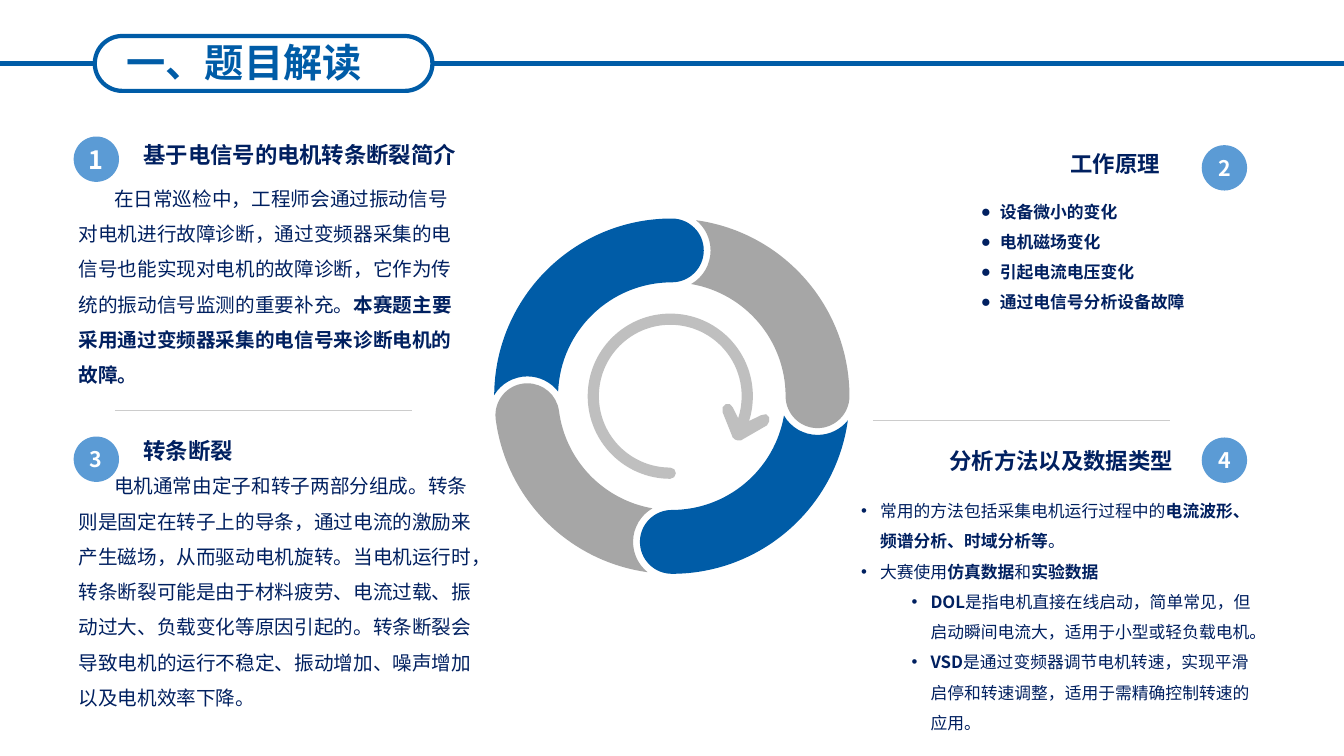
from dataclasses import dataclass
from math import acos, atan2, ceil, cos, degrees, floor, radians, sin, tan

from lxml.etree import SubElement
from pptx import Presentation
from pptx.dml.color import RGBColor
from pptx.enum.shapes import MSO_CONNECTOR, MSO_SHAPE
from pptx.enum.text import MSO_ANCHOR, PP_ALIGN
from pptx.oxml.ns import qn
from pptx.util import Pt


@dataclass(frozen=True)
class Theme:
    font: str = "Noto Sans CJK SC"
    bullet_font: str = "Arial"
    blue: str = "005CA7"
    badge: str = "5B9BD5"
    navy: str = "002060"
    white: str = "FFFFFF"
    gray: str = "A6A6A6"
    arrow: str = "BFBFBF"
    divider: str = "CCCCCC"
    title: float = 28
    heading: float = 16
    body: float = 14
    detail: float = 12
    first_number: float = 18
    number: float = 15.3


THEME = Theme()
LEFT, CENTER, RIGHT = PP_ALIGN.LEFT, PP_ALIGN.CENTER, PP_ALIGN.RIGHT

# number, number size, badge position, heading, heading box, alignment
SECTIONS = [
    ("1", THEME.first_number, (52.6, 97.5), "基于电信号的电机转条断裂简介",
     (95.4, 97.2, 244.8, 26.6), LEFT),
    ("2", THEME.number, (858.4, 103.7), "工作原理", (610.2, 103.7, 225.4, 26.6), RIGHT),
    ("3", THEME.number, (52.6, 311.8), "转条断裂", (95.4, 308.5, 78.5, 26.6), LEFT),
    ("4", THEME.number, (858.4, 312.5), "分析方法以及数据类型",
     (670, 315.7, 175, 26.6), RIGHT),
]

# Each paragraph is a list of (text, bold) runs
INTRODUCTION = [
    ("在日常巡检中，工程师会通过振动信号对电机进行故障诊断，通过变频器采集的电信号也能实现"
     "对电机的故障诊断，它作为传统的振动信号监测的重要补充。", False),
    ("本赛题主要采用通过变频器采集的电信号来诊断电机的故障。", True),
]
BROKEN_BAR = [
    ("电机通常由定子和转子两部分组成。转条则是固定在转子上的导条，通过电流的激励来产生磁场，"
     "从而驱动电机旋转。当电机运行时，转条断裂可能是由于材料疲劳、电流过载、振动过大、"
     "负载变化等原因引起的。转条断裂会导致电机的运行不稳定、振动增加、噪声增加以及电机效率下降。",
     False),
]
PRINCIPLES = ["设备微小的变化", "电机磁场变化", "引起电流电压变化", "通过电信号分析设备故障"]
METHODS = [
    (0, [("常用的方法包括采集电机运行过程中的", False),
         ("电流波形、频谱分析、时域分析等", True), ("。", False)]),
    (0, [("大赛使用", False), ("仿真数据", True), ("和", False), ("实验数据", True)]),
    (1, [("DOL", True),
         ("是指电机直接在线启动，简单常见，但启动瞬间电流大，适用于小型或轻负载电机。", False)]),
    (1, [("VSD", True),
         ("是通过变频器调节电机转速，实现平滑启停和转速调整，适用于需精确控制转速的应用。", False)]),
]
HANGING, LEVEL_STEP, FIRST_LINE = 13.5, 36, 25.4

RING_CENTER = (479.9, 283)
RING_OUTER, RING_INNER, RING_MIDDLE = 126.9, 81.3, 104.1
CAP_RADIUS, NOTCH_RADIUS = 22.8, 27.7
# Angles run clockwise from the right
RING_SEGMENTS = [(172.5, 270, THEME.blue), (270, 360, THEME.gray),
                 (0, 90, THEME.blue), (90, 172.5, THEME.gray)]

ARROW_CENTER = (478.8, 283)
ARROW_OUTER, ARROW_INNER = 59, 51
ARROW_HEAD = [
    (523.4, 290.9), (521.3, 288.7), (518.4, 288.7), (516.2, 290.9), (516.2, 294.5),
    (523.4, 312.5), (524.9, 313.9), (527, 314.6), (529.2, 314.6), (547.9, 303.8),
    (549.4, 301), (549.4, 298.1), (547.2, 295.9), (543.6, 296.6),
]


def color(value):
    return RGBColor.from_string(value)


def box(values):
    return [Pt(value) for value in values]


def add_runs(paragraph, runs, size, ink):
    for text, bold in runs:
        run = paragraph.add_run()
        run.text = text
        font = run.font
        font.size, font.bold, font.name = Pt(size), bold, THEME.font
        font.color.rgb = color(ink)
        SubElement(font._element, qn("a:ea")).set("typeface", THEME.font)


def set_indent(paragraph, margin, indent, bullet=None):
    properties = paragraph._p.get_or_add_pPr()
    properties.set("marL", str(Pt(margin)))
    properties.set("indent", str(Pt(indent)))
    if bullet:
        SubElement(properties, qn("a:buFont")).set("typeface", THEME.bullet_font)
        SubElement(properties, qn("a:buChar")).set("char", bullet)


def add_label(slide, frame, text, size, ink, align):
    text_frame = slide.shapes.add_textbox(*box(frame)).text_frame
    text_frame.word_wrap = True
    paragraph = text_frame.paragraphs[0]
    paragraph.alignment = align
    add_runs(paragraph, [(text, True)], size, ink)


def add_body(slide, frame, paragraphs, size, bullet=None):
    """Add wrapped text from (level, runs) pairs, bulleted or with a first-line indent."""
    text_frame = slide.shapes.add_textbox(*box(frame)).text_frame
    text_frame.word_wrap = True
    for index, (level, runs) in enumerate(paragraphs):
        paragraph = text_frame.add_paragraph() if index else text_frame.paragraphs[0]
        paragraph.level = level
        paragraph.line_spacing = 1.5
        if bullet:
            set_indent(paragraph, HANGING + level * LEVEL_STEP, -HANGING, bullet)
        else:
            set_indent(paragraph, 0, FIRST_LINE)
        add_runs(paragraph, runs, size, THEME.navy)


def fill_plain(shape, fill):
    shape.shadow.inherit = False
    shape.fill.solid()
    shape.fill.fore_color.rgb = color(fill)
    shape.line.fill.background()


def add_badge(slide, position, number, size):
    shape = slide.shapes.add_shape(MSO_SHAPE.OVAL, *box((*position, 32.4, 32.4)))
    fill_plain(shape, THEME.badge)
    text_frame = shape.text_frame
    text_frame.margin_left = text_frame.margin_right = 0
    text_frame.word_wrap = True
    text_frame.vertical_anchor = MSO_ANCHOR.MIDDLE
    text_frame.paragraphs[0].alignment = CENTER
    add_runs(text_frame.paragraphs[0], [(number, True)], size, THEME.white)


def add_line(slide, start, end, ink, width):
    line = slide.shapes.add_connector(MSO_CONNECTOR.STRAIGHT, *box((*start, *end)))
    line.line.color.rgb = color(ink)
    line.line.width = Pt(width)
    SubElement(line._element.spPr, qn("a:effectLst"))
    return line


def polar(center, radius, angle):
    return (center[0] + radius * cos(radians(angle)),
            center[1] + radius * sin(radians(angle)))


def arc(center, radius, start, end):
    """Return Bézier curves (two controls and an end) for an arc, split at each quarter."""
    low, high = min(start, end), max(start, end)
    quarters = range(90 * (floor(low / 90) + 1), 90 * ceil(high / 90), 90)
    stops = sorted([low, *quarters, high], reverse=start > end)
    curves = []
    for first, last in zip(stops, stops[1:]):
        pull = 4 / 3 * tan(radians(last - first) / 4)
        reach = radius * (1 + pull ** 2) ** 0.5
        lean = degrees(atan2(pull, 1))
        curves.append((polar(center, reach, first + lean),
                       polar(center, reach, last - lean), polar(center, radius, last)))
    return curves


def add_outline(slide, start, segments, fill):
    """Draw a closed outline; a segment is a line (one point) or a curve (three points)."""
    points = [(x * 100, y * 100) for segment in segments for x, y in segment]
    builder = slide.shapes.build_freeform(start[0] * 100, start[1] * 100, scale=Pt(1) / 100)
    builder.add_line_segments(points, close=True)
    shape = builder.convert_to_shape()
    lines = iter(list(shape._element.iter(qn("a:lnTo"))))
    for segment in segments:
        curve, *others = [next(lines) for _ in segment]
        if others:
            curve.tag = qn("a:cubicBezTo")
            for line in others:
                curve.append(line[0])
                line.getparent().remove(line)
    fill_plain(shape, fill)


def notch_crossing(radius):
    """Return where the notch meets a ring edge: angle on the ring, angle on the notch."""
    turn = acos((RING_MIDDLE ** 2 + radius ** 2 - NOTCH_RADIUS ** 2)
                / (2 * RING_MIDDLE * radius))
    return degrees(turn), degrees(atan2(radius * sin(turn),
                                        radius * cos(turn) - RING_MIDDLE))


def add_ring_segment(slide, start, end, fill):
    outer_turn, notch_outer = notch_crossing(RING_OUTER)
    inner_turn, notch_inner = notch_crossing(RING_INNER)
    cap = polar(RING_CENTER, RING_MIDDLE, end)
    notch = polar(RING_CENTER, RING_MIDDLE, start)
    segments = (arc(RING_CENTER, RING_OUTER, start + outer_turn, end)
                + arc(cap, CAP_RADIUS, end, end + 180)
                + arc(RING_CENTER, RING_INNER, end, start + inner_turn)
                + arc(notch, NOTCH_RADIUS, start + notch_inner, start + notch_outer))
    add_outline(slide, polar(RING_CENTER, RING_OUTER, start + outer_turn), segments, fill)


def add_cycle_arrow(slide):
    tail = polar(ARROW_CENTER, (ARROW_OUTER + ARROW_INNER) / 2, 90)
    head = [*ARROW_HEAD, polar(ARROW_CENTER, ARROW_OUTER, 377.5)]
    segments = (arc(tail, (ARROW_OUTER - ARROW_INNER) / 2, 90, -90)
                + arc(ARROW_CENTER, ARROW_INNER, 90, 378) + [(point,) for point in head]
                + arc(ARROW_CENTER, ARROW_OUTER, 377.5, 90))
    add_outline(slide, polar(ARROW_CENTER, ARROW_OUTER, 90), segments, THEME.arrow)


def add_title(slide):
    pill = slide.shapes.add_shape(MSO_SHAPE.ROUNDED_RECTANGLE, *box((67.7, 25.7, 241.2, 39.2)))
    pill.adjustments[0] = 0.5
    pill.shadow.inherit = False
    pill.fill.background()
    pill.line.color.rgb = color(THEME.blue)
    pill.line.width = Pt(3)
    for edge, side in ((0, 1), (960, 3)):
        line = add_line(slide, (edge, 45.3), (edge, 45.3), THEME.blue, 3)
        line.end_connect(pill, side)
    add_label(slide, (52.6, 23.8, 243.4, 41), "一、题目解读", THEME.title, THEME.blue, CENTER)


def main():
    presentation = Presentation()
    presentation.slide_width, presentation.slide_height = Pt(960), Pt(540)
    slide = presentation.slides.add_slide(presentation.slide_layouts[6])
    for left, top in ((623.5, 300.2), (82.1, 293)):
        add_line(slide, (left, top), (left + 212.4, top), THEME.divider, 0.5)
    for number, size, position, heading, frame, align in SECTIONS:
        add_badge(slide, position, number, size)
        add_label(slide, frame, heading, THEME.heading, THEME.navy, align)
    add_body(slide, (49, 121.5, 286.6, 157), [(0, INTRODUCTION)], THEME.body)
    add_body(slide, (49, 326.8, 297.4, 185), [(0, BROKEN_BAR)], THEME.body)
    add_body(slide, (693.6, 133, 197.3, 94.3),
             [(0, [(text, True)]) for text in PRINCIPLES], THEME.detail, "●")
    add_body(slide, (608.1, 347, 301, 164.2), METHODS, THEME.detail, "•")
    add_cycle_arrow(slide)
    for start, end, fill in RING_SEGMENTS:
        add_ring_segment(slide, start, end, fill)
    add_title(slide)
    presentation.save("out.pptx")


if __name__ == "__main__":
    main()
